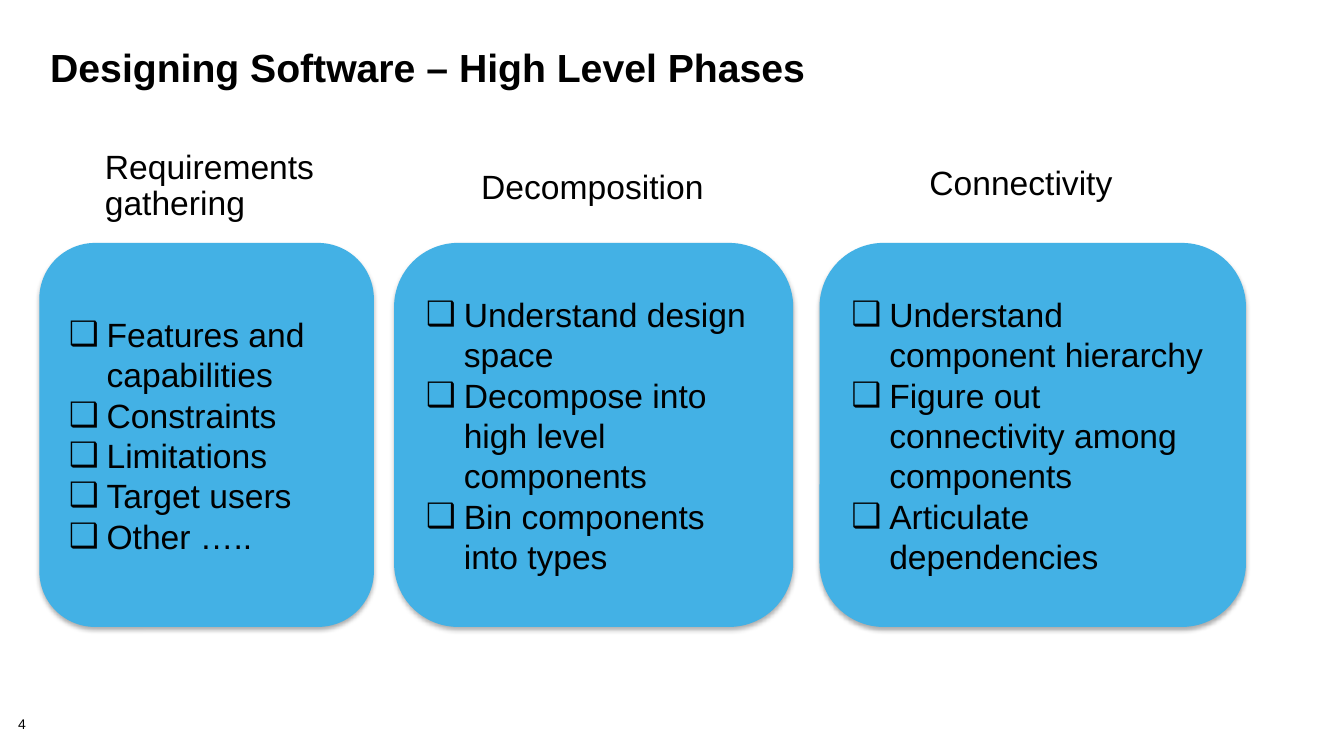
"""Build a slide with the three high level phases of software design."""
from lxml import etree
from pptx import Presentation
from pptx.dml.color import RGBColor
from pptx.enum.shapes import MSO_SHAPE
from pptx.enum.text import MSO_ANCHOR, PP_ALIGN
from pptx.oxml import parse_xml
from pptx.oxml.ns import nsdecls, qn
from pptx.util import Pt

ROUND = MSO_SHAPE.ROUNDED_RECTANGLE
TOP, MIDDLE = MSO_ANCHOR.TOP, MSO_ANCHOR.MIDDLE
LEFT = PP_ALIGN.LEFT
BLACK = RGBColor(0x00, 0x00, 0x00)
BLUE = RGBColor(0x43, 0xB1, 0xE5)
INDENT = Pt(27)
SHADOW = (
    f'<a:effectLst {nsdecls("a")}>'
    '<a:outerShdw blurRad="44450" dist="27940" dir="5400000" rotWithShape="0">'
    '<a:srgbClr val="000000"><a:alpha val="32000"/></a:srgbClr>'
    '</a:outerShdw></a:effectLst>'
)


def write(shape, lines, size, pad, anchor=TOP, space=1.0, bold=False, bullet=None):
    frame = shape.text_frame
    across, down = pad
    form = {
        "word_wrap": True, "vertical_anchor": anchor,
        "margin_left": Pt(across), "margin_right": Pt(across),
        "margin_top": Pt(down), "margin_bottom": Pt(down),
    }
    for name, value in form.items():
        setattr(frame, name, value)
    for i, line in enumerate(lines):
        para = frame.add_paragraph() if i else frame.paragraphs[0]
        para.alignment, para.line_spacing = LEFT, space
        if bullet:
            props = para._p.get_or_add_pPr()
            props.set("marL", str(INDENT))
            props.set("indent", str(-INDENT))
            etree.SubElement(props, qn("a:buFont")).set("typeface", "Arial")
            etree.SubElement(props, qn("a:buChar")).set("char", bullet)
        run = para.add_run()
        run.text = line
        for name, value in {"name": "Arial", "size": Pt(size), "bold": bold}.items():
            setattr(run.font, name, value)
        run.font.color.rgb = BLACK


deck = Presentation()
deck.slide_width, deck.slide_height = Pt(960), Pt(540)
slide = deck.slides.add_slide(deck.slide_layouts[6])
shapes = slide.shapes

number = shapes.add_textbox(Pt(13), Pt(512.6), Pt(40), Pt(11.5))
write(number, ["4"], 10, (0, 0), space=0.9)

title = shapes.add_textbox(Pt(28.8), Pt(32.4), Pt(895.7), Pt(72))
write(title, ["Designing Software – High Level Phases"], 28, (7.2, 3.6),
      space=0.85, bold=True)

phases = [
    (28.1, 239, ["Requirements", "gathering"], (65.5, 100.4, 176.4),
     ["Features and capabilities", "Constraints", "Limitations",
      "Target users", "Other ….."]),
    (281.5, 285.1, ["Decomposition"], (334.3, 114.5, 193),
     ["Understand design space", "Decompose into high level components",
      "Bin components into types"]),
    (585.4, 304.6, ["Connectivity"], (654.5, 111.6, 151.2),
     ["Understand component hierarchy",
      "Figure out connectivity among components", "Articulate dependencies"]),
]
for left, width, head, (x, y, span), steps in phases:
    card = shapes.add_shape(ROUND, Pt(left), Pt(173.5), Pt(width), Pt(274.3))
    card.fill.solid()
    card.fill.fore_color.rgb = BLUE
    card.line.fill.background()
    card._element.spPr.append(parse_xml(SHADOW))
    write(card, steps, 24, (9.4, 5), anchor=MIDDLE, bullet="❑")
    label = shapes.add_textbox(Pt(x), Pt(y), Pt(span), Pt(15 + 26 * len(head)))
    write(label, head, 24, (9.4, 7.2), space=0.9)

deck.save("out.pptx")
